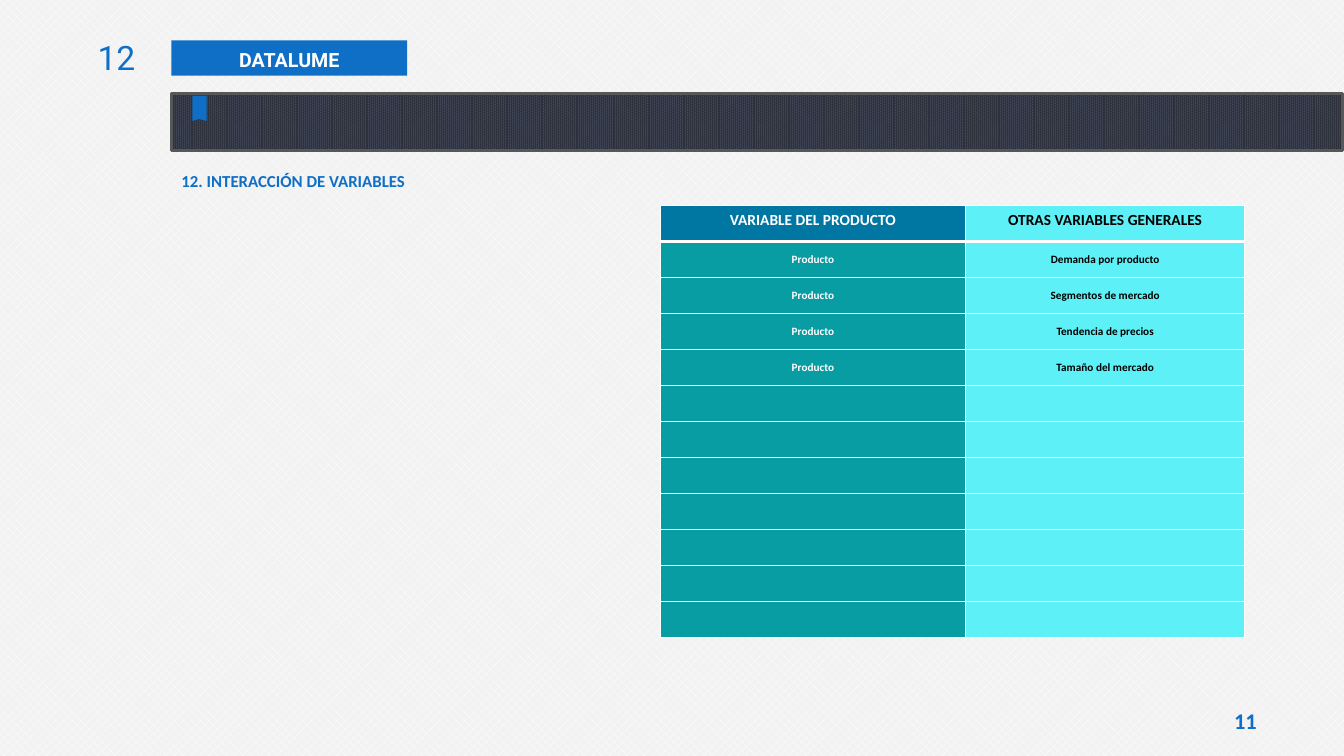
import lxml.etree
import pptx
import pptx.dml.color
import pptx.enum.dml
import pptx.enum.shapes
import pptx.enum.text
import pptx.oxml.ns
import pptx.util

Pt = pptx.util.Pt
RGBColor = pptx.dml.color.RGBColor
ALIGN = pptx.enum.text.PP_ALIGN
ANCHOR = pptx.enum.text.MSO_ANCHOR
PATTERN = pptx.enum.dml.MSO_PATTERN
RECTANGLE = pptx.enum.shapes.MSO_SHAPE.RECTANGLE

BLUE = RGBColor(0x0F, 0x6F, 0xC6)
WHITE = RGBColor(0xFF, 0xFF, 0xFF)
BLACK = RGBColor(0x00, 0x00, 0x00)
PALE_GRAY = RGBColor(0xF2, 0xF2, 0xF2)
BAND_DARK = RGBColor(0x2D, 0x31, 0x3C)
BAND_LIGHT = RGBColor(0x44, 0x4A, 0x5A)
BAND_LINE = RGBColor(0x57, 0x57, 0x57)
HEADER_BLUE = RGBColor(0x00, 0x76, 0xA3)
TEAL = RGBColor(0x08, 0x9C, 0xA3)
CYAN = RGBColor(0x5E, 0xF0, 0xF7)


def write_text(frame, text, size, color, font="Calibri", bold=True,
               align=ALIGN.CENTER, anchor=ANCHOR.TOP, line_spacing=None):
    frame.word_wrap = True
    frame.vertical_anchor = anchor
    paragraph = frame.paragraphs[0]
    paragraph.alignment = align
    paragraph.line_spacing = line_spacing
    run = paragraph.add_run()
    run.text = text
    run.font.size = Pt(size)
    run.font.name = font
    run.font.bold = bold
    run.font.color.rgb = color


def set_borders(cell, widths):
    properties = cell._tc.get_or_add_tcPr()
    for side, width in widths.items():
        line = lxml.etree.SubElement(properties, pptx.oxml.ns.qn(f"a:ln{side}"), w=str(Pt(width)))
        fill = lxml.etree.SubElement(line, pptx.oxml.ns.qn("a:solidFill"))
        lxml.etree.SubElement(fill, pptx.oxml.ns.qn("a:srgbClr"), val=str(WHITE))


presentation = pptx.Presentation()
presentation.slide_width = Pt(960)
presentation.slide_height = Pt(540)
slide = presentation.slides.add_slide(presentation.slide_layouts[5])
background = slide.background.fill
background.patterned()
background.pattern = PATTERN.from_xml("pct40")
background.fore_color.rgb = WHITE
background.back_color.rgb = PALE_GRAY

title = slide.shapes.title
title.left, title.top, title.width, title.height = Pt(122.4), Pt(118), Pt(357), Pt(21.6)
title.text_frame.auto_size = pptx.enum.text.MSO_AUTO_SIZE.NONE
write_text(title.text_frame, "12. INTERACCIÓN DE VARIABLES", 12, BLUE, align=ALIGN.LEFT)

page_number = slide.shapes.add_textbox(Pt(867.6), Pt(504), Pt(44), Pt(23.8)).text_frame
page_number.margin_left = page_number.margin_right = Pt(3.6)
page_number.margin_top = page_number.margin_bottom = Pt(1.44)
write_text(page_number, "11", 16, BLUE)

section_number = slide.shapes.add_textbox(Pt(56.2), Pt(23), Pt(47.5), Pt(36))
write_text(section_number.text_frame, "12", 24, BLUE, font="Roboto", bold=False, align=ALIGN.RIGHT)

label = slide.shapes.add_shape(RECTANGLE, Pt(122.4), Pt(28.8), Pt(168.5), Pt(25.2))
label.shadow.inherit = False
label.fill.solid()
label.fill.fore_color.rgb = BLUE
label.line.fill.background()
write_text(label.text_frame, "DATALUME", 14, WHITE, font="Roboto", line_spacing=1.1)

band = slide.shapes.add_shape(RECTANGLE, Pt(122.4), Pt(67), Pt(836.5), Pt(40.5))
band.shadow.inherit = False
band.fill.patterned()
band.fill.pattern = PATTERN.from_xml("pct90")
band.fill.fore_color.rgb = BAND_DARK
band.fill.back_color.rgb = BAND_LIGHT
band.line.color.rgb = BAND_LINE
band.line.width = Pt(2)

builder = slide.shapes.build_freeform(Pt(147.6), Pt(68.4))
ribbon_points = [(147.6, 86.4), (142, 85), (137.5, 86.4), (137.5, 68.4)]
builder.add_line_segments([(Pt(x), Pt(y)) for x, y in ribbon_points], close=True)
ribbon = builder.convert_to_shape()
ribbon.shadow.inherit = False
ribbon.fill.solid()
ribbon.fill.fore_color.rgb = BLUE
ribbon.line.fill.background()

variables = ["Demanda por producto", "Segmentos de mercado", "Tendencia de precios", "Tamaño del mercado"]
rows = [("VARIABLE DEL PRODUCTO", "OTRAS VARIABLES GENERALES")]
rows += [("Producto", variable) for variable in variables]
rows += [("", "")] * 7

table = slide.shapes.add_table(len(rows), 2, Pt(471.6), Pt(146.9), Pt(417.6), Pt(308.4)).table
table.columns[0].width = Pt(218.2)
table.columns[1].width = Pt(199.4)
for row_index, texts in enumerate(rows):
    header = row_index == 0
    table.rows[row_index].height = Pt(25.7)
    fills = (HEADER_BLUE if header else TEAL, CYAN)
    for column_index, text in enumerate(texts):
        cell = table.cell(row_index, column_index)
        set_borders(cell, {"L": 1, "R": 1, "T": 3 if row_index == 1 else 1, "B": 3 if header else 1})
        cell.fill.solid()
        cell.fill.fore_color.rgb = fills[column_index]
        if not header:
            cell.margin_left = cell.margin_right = cell.margin_top = cell.margin_bottom = 0
            cell.vertical_anchor = ANCHOR.MIDDLE
        if text:
            write_text(cell.text_frame, text, 11 if header else 8, (WHITE, BLACK)[column_index],
                       anchor=None)

presentation.save("out.pptx")
